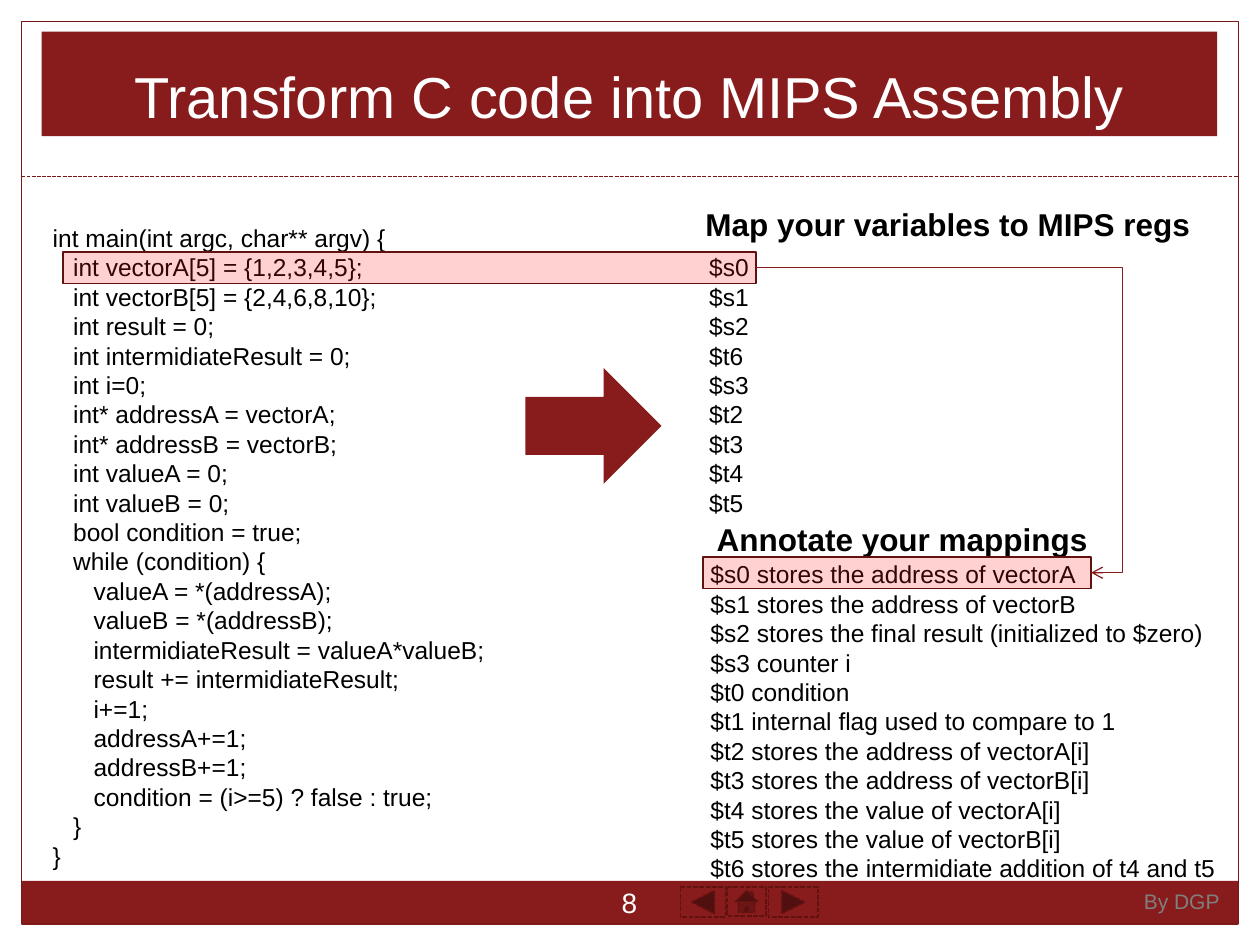
from lxml import etree
from pptx import Presentation
from pptx.dml.color import RGBColor
from pptx.enum.dml import MSO_LINE
from pptx.enum.shapes import MSO_CONNECTOR, MSO_SHAPE
from pptx.enum.text import MSO_ANCHOR, MSO_AUTO_SIZE, PP_ALIGN
from pptx.oxml.ns import qn
from pptx.util import Inches, Pt

RECT, ARROW = MSO_SHAPE.RECTANGLE, MSO_SHAPE.RIGHT_ARROW
NAV_BUTTONS = [
    (MSO_SHAPE.ACTION_BUTTON_BACK_OR_PREVIOUS, (5.4, 7.04, 0.36, 0.24)),
    (MSO_SHAPE.ACTION_BUTTON_HOME, (5.77, 7.04, 0.31, 0.23)),
    (MSO_SHAPE.ACTION_BUTTON_FORWARD_OR_NEXT, (6.1, 7.04, 0.39, 0.24)),
]
STRAIGHT, ELBOW = MSO_CONNECTOR.STRAIGHT, MSO_CONNECTOR.ELBOW
DASH = MSO_LINE.SQUARE_DOT
LEFT, CENTER = PP_ALIGN.LEFT, PP_ALIGN.CENTER
TOP, MIDDLE, BOTTOM = MSO_ANCHOR.TOP, MSO_ANCHOR.MIDDLE, MSO_ANCHOR.BOTTOM

COLORS = {
    "white": "FFFFFF", "black": "000000", "gray": "7F7F7F",
    "maroon": "881C1C", "frame": "771717", "edge": "621111",
    "highlight": "FF1919",
}
FONT = "Arial"
LINE_RATIO = 1.2
REGISTER_TAB = 5.21

# Each tab leads to the register that holds the variable
CODE = """int main(int argc, char** argv) {
   int vectorA[5] = {1,2,3,4,5};\t$s0
   int vectorB[5] = {2,4,6,8,10};\t$s1
   int result = 0;\t$s2
   int intermidiateResult = 0;\t$t6
   int i=0;\t$s3
   int* addressA = vectorA;\t$t2
   int* addressB = vectorB;\t$t3
   int valueA = 0;\t$t4
   int valueB = 0;\t$t5
   bool condition = true;
   while (condition) {
      valueA = *(addressA);
      valueB = *(addressB);
      intermidiateResult = valueA*valueB;
      result += intermidiateResult;
      i+=1;
      addressA+=1;
      addressB+=1;
      condition = (i>=5) ? false : true;
   }
}""".split("\n")

MAPPINGS = [
    "$s0 stores the address of vectorA",
    "$s1 stores the address of vectorB",
    "$s2 stores the final result (initialized to $zero)",
    "$s3 counter i",
    "$t0 condition",
    "$t1 internal flag used to compare to 1",
    "$t2 stores the address of vectorA[i]",
    "$t3 stores the address of vectorB[i]",
    "$t4 stores the value of vectorA[i]",
    "$t5 stores the value of vectorB[i]",
    "$t6 stores the intermidiate addition of t4 and t5",
]


def rgb(name):
    return RGBColor.from_string(COLORS[name])


def write(frame, lines, size=14, color="black", bold=False, align=LEFT,
          anchor=TOP, wrap=False, indent=0, tab=None):
    """Fill a text frame with one paragraph for each line."""
    frame.auto_size = MSO_AUTO_SIZE.NONE
    frame.word_wrap = wrap
    frame.vertical_anchor = anchor
    for i, line in enumerate(lines):
        paragraph = frame.paragraphs[0] if i == 0 else frame.add_paragraph()
        paragraph.text = line
        paragraph.alignment = align
        paragraph.line_spacing = Pt(size * LINE_RATIO)
        props = paragraph._p.get_or_add_pPr()
        if indent:
            props.set("marL", str(Inches(indent)))
            props.set("indent", "0")
        if tab:
            stops = etree.SubElement(props, qn("a:tabLst"))
            etree.SubElement(stops, qn("a:tab"), pos=str(Inches(tab)), algn="l")
        for run in paragraph.runs:
            run.font.name, run.font.size, run.font.bold = FONT, Pt(size), bold
            run.font.color.rgb = rgb(color)


def add_text(slide, box, lines, **style):
    write(slide.shapes.add_textbox(*map(Inches, box)).text_frame, lines, **style)


def style_line(line, color, width, dash=None):
    line.color.rgb = rgb(color)
    line.width = Pt(width)
    if dash:
        line.dash_style = dash


def add_block(slide, kind, box, fill=None, edge=None, width=0.75, dash=None,
              alpha=None):
    block = slide.shapes.add_shape(kind, *map(Inches, box))
    block.shadow.inherit = False
    if fill:
        block.fill.solid()
        block.fill.fore_color.rgb = rgb(fill)
    else:
        block.fill.background()
    if alpha:
        color = block.fill._xPr.find(".//" + qn("a:srgbClr"))
        etree.SubElement(color, qn("a:alpha"), val=str(alpha * 1000))
    if edge:
        style_line(block.line, edge, width, dash)
    else:
        block.line.fill.background()


def add_line(slide, kind, start, end, color, dash=None):
    line = slide.shapes.add_connector(kind, *map(Inches, start + end))
    style_line(line.line, color, 0.75, dash)
    etree.SubElement(line._element.spPr, qn("a:effectLst"))
    return line


def draw_frame(slide, box):
    """White margins, outer border, divider and footer band."""
    left, top, width, height = box
    for margin in [(0, 0, 10, 1.52), (0, 0, left, 7.5),
                   (left + width, 0, left, 7.5)]:
        add_block(slide, RECT, margin, "white")
    add_block(slide, RECT, (left, 6.99, width, 0.35), "maroon")
    add_block(slide, RECT, box, edge="frame")
    add_line(slide, STRAIGHT, (left, 1.4), (left + width, 1.4), "frame", DASH)
    for kind, button in NAV_BUTTONS:
        add_block(slide, kind, button, "maroon", "edge", 0.91, DASH)
    add_text(slide, (4.66, 6.99, 0.67, 0.34), ["8"], size=16, color="white",
             align=CENTER, anchor=MIDDLE, wrap=True)
    add_text(slide, (8.98, 7, 0.8, 0.3), ["By DGP"], size=12, color="gray")


def draw_title(slide, box):
    title = slide.shapes.title
    title.left, title.top, title.width, title.height = map(Inches, box)
    title.fill.solid()
    title.fill.fore_color.rgb = rgb("maroon")
    write(title.text_frame, ["Transform C code into MIPS Assembly"], size=33,
          color="white", align=CENTER, anchor=BOTTOM, wrap=True)
    # Bring the title in front of the frame
    slide.shapes._spTree.append(title._element)


def draw_code(slide, box):
    add_text(slide, box, CODE, tab=REGISTER_TAB)


def draw_mappings(slide, box):
    add_text(slide, box, MAPPINGS, indent=0.05)


def draw_headings(slide):
    add_block(slide, ARROW, (4.17, 2.92, 1.08, 0.92), "maroon")
    add_text(slide, (5.5, 1.58, 4.05, 0.4), ["Map your variables to MIPS regs"],
             size=18, bold=True)
    add_text(slide, (5.59, 4.08, 3.14, 0.4), ["Annotate your mappings"],
             size=18, bold=True)


def draw_highlight(slide, declaration, annotation):
    """Mark one declaration and link it to its annotation."""
    for box in (declaration, annotation):
        add_block(slide, RECT, box, "highlight", "edge", 0.91, alpha=20)
    start, end = [(left + width, top + height / 2)
                  for left, top, width, height in (declaration, annotation)]
    link = add_line(slide, ELBOW, start, end, "maroon")
    geometry = link._element.spPr.find(qn("a:prstGeom"))
    guides = geometry.find(qn("a:avLst"))
    etree.SubElement(guides, qn("a:gd"), name="adj1", fmla="val 109400")
    etree.SubElement(link.line._get_or_add_ln(), qn("a:tailEnd"), type="arrow")


def main():
    deck = Presentation()
    deck.slide_width, deck.slide_height = Inches(10), Inches(7.5)
    slide = deck.slides.add_slide(deck.slide_layouts[5])
    draw_frame(slide, (0.17, 0.17, 9.66, 7.16))
    draw_title(slide, (0.33, 0.25, 9.33, 0.83))
    draw_code(slide, (0.32, 1.72, 5.81, 5.24))
    draw_mappings(slide, (5.49, 4.39, 4.26, 2.9))
    draw_headings(slide)
    draw_highlight(slide, (0.5, 2, 5.5, 0.25), (5.58, 4.42, 3.08, 0.25))
    deck.save("out.pptx")


if __name__ == "__main__":
    main()
